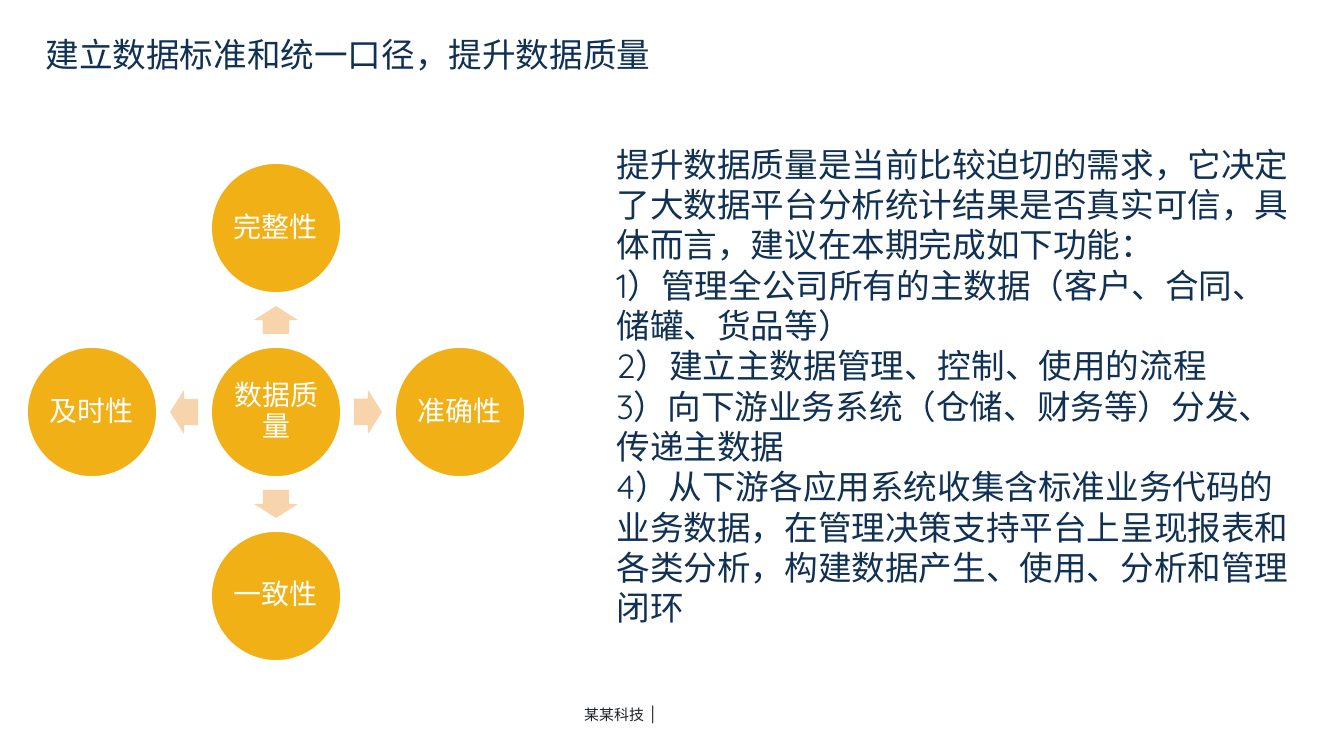
"""Build the data quality slide: a radial diagram beside a list of proposed functions."""
from dataclasses import dataclass

from lxml import etree
from pptx import Presentation
from pptx import util as u
from pptx.dml.color import RGBColor
from pptx.enum import shapes, text
from pptx.oxml import ns

PX = 914400 / 134.4


@dataclass(frozen=True)
class Theme:
    font: str = "Quicksand"
    navy: str = "103154"
    ink: str = "1E2327"
    amber: str = "F1B015"
    sand: str = "F7D4AC"
    white: str = "FFFFFF"
    main_size: int = 18
    node_size: int = 15
    footer_size: int = 8
    divider_size: int = 10


@dataclass(frozen=True)
class Box:
    left: int
    top: int
    width: int
    height: int


@dataclass(frozen=True)
class Quality:
    label: str
    dx: int
    dy: int
    turn: int


THEME = Theme()
CENTER_X, CENTER_Y = 276, 412
STEP = 184
CIRCLE = 132
ARROW_LENGTH, ARROW_WIDTH = 28, 44
NODE_INSET = 3

TITLE = "建立数据标准和统一口径，提升数据质量"
HUB = Quality("数据质量", 0, 0, 0)
QUALITIES = [
    Quality("完整性", 0, -1, 270),
    Quality("准确性", 1, 0, 0),
    Quality("一致性", 0, 1, 90),
    Quality("及时性", -1, 0, 180),
]
FUNCTIONS = [
    "提升数据质量是当前比较迫切的需求，它决定了大数据平台分析统计结果是否真实可信，"
    "具体而言，建议在本期完成如下功能：",
    "1）管理全公司所有的主数据（客户、合同、储罐、货品等）",
    "2）建立主数据管理、控制、使用的流程",
    "3）向下游业务系统（仓储、财务等）分发、传递主数据",
    "4）从下游各应用系统收集含标准业务代码的业务数据，在管理决策支持平台上"
    "呈现报表和各类分析，构建数据产生、使用、分析和管理闭环",
]


def px(length: float) -> u.Emu:
    """Turn a length in px into EMU."""
    return u.Emu(round(length * PX))


def place(shape, box: Box) -> None:
    """Move and size a shape."""
    shape.left, shape.top = px(box.left), px(box.top)
    shape.width, shape.height = px(box.width), px(box.height)


def add_run(paragraph, words: str, size: int, color: str) -> None:
    """Append one formatted run."""
    run = paragraph.add_run()
    run.text = words
    run.font.name = THEME.font
    run.font.size = u.Pt(size)
    run.font.color.rgb = RGBColor.from_string(color)


def fill_placeholder(holder, box: Box, lines: list[str]) -> None:
    """Write plain unbulleted lines from the top left of a placeholder."""
    place(holder, box)
    frame = holder.text_frame
    frame.word_wrap = True
    frame.auto_size = text.MSO_AUTO_SIZE.NONE
    frame.vertical_anchor = text.MSO_ANCHOR.TOP
    for index, line in enumerate(lines):
        paragraph = frame.add_paragraph() if index else frame.paragraphs[0]
        paragraph.alignment = text.PP_ALIGN.LEFT
        paragraph.space_before = u.Pt(0)
        properties = paragraph._p.get_or_add_pPr()
        properties.set("marL", "0")
        properties.set("indent", "0")
        etree.SubElement(properties, ns.qn("a:buNone"))
        add_run(paragraph, line, THEME.main_size, THEME.navy)


def add_centered(slide, kind, x: float, y: float, width: int, height: int, color: str):
    """Add a flat filled shape around a centre point."""
    shape = slide.shapes.add_shape(
        kind, px(x - width / 2), px(y - height / 2), px(width), px(height))
    shape.shadow.inherit = False
    shape.fill.solid()
    shape.fill.fore_color.rgb = RGBColor.from_string(color)
    shape.line.fill.background()
    return shape


def add_node(slide, quality: Quality) -> None:
    """Add a labelled circle one step from the hub in its direction."""
    circle = add_centered(
        slide, shapes.MSO_SHAPE.OVAL, CENTER_X + STEP * quality.dx,
        CENTER_Y + STEP * quality.dy, CIRCLE, CIRCLE, THEME.amber)
    circle.line.color.rgb = RGBColor.from_string(THEME.white)
    circle.line.width = u.Pt(2)
    frame = circle.text_frame
    frame.word_wrap = True
    frame.vertical_anchor = text.MSO_ANCHOR.MIDDLE
    frame.margin_left = frame.margin_right = px(NODE_INSET)
    frame.margin_top = frame.margin_bottom = px(NODE_INSET)
    label = frame.paragraphs[0]
    label.alignment = text.PP_ALIGN.CENTER
    label.line_spacing = 0.9
    add_run(label, quality.label, THEME.node_size, THEME.white)


def add_arrow(slide, quality: Quality) -> None:
    """Add the block arrow halfway between the hub and a quality."""
    arrow = add_centered(
        slide, shapes.MSO_SHAPE.RIGHT_ARROW, CENTER_X + STEP / 2 * quality.dx,
        CENTER_Y + STEP / 2 * quality.dy, ARROW_LENGTH, ARROW_WIDTH, THEME.sand)
    arrow.adjustments[0] = 0.6
    arrow.adjustments[1] = 0.5
    arrow.rotation = quality.turn


def add_footer(slide, box: Box) -> None:
    """Add the company line at the foot of the slide."""
    footer = slide.shapes.add_textbox(0, 0, 0, 0)
    place(footer, box)
    footer.text_frame.word_wrap = True
    company = footer.text_frame.paragraphs[0]
    company.line_spacing = 1.3
    add_run(company, "某某科技  ", THEME.footer_size, THEME.ink)
    add_run(company, "|", THEME.divider_size, THEME.ink)


def main() -> None:
    """Build and save the slide."""
    deck = Presentation()
    deck.slide_width, deck.slide_height = px(1344), px(756)
    slide = deck.slides.add_slide(deck.slide_layouts[1])
    add_footer(slide, Box(571, 689, 222, 43))
    add_node(slide, HUB)
    for quality in QUALITIES:
        add_arrow(slide, quality)
        add_node(slide, quality)
    fill_placeholder(slide.shapes.title, Box(32, 27, 703, 54), [TITLE])
    fill_placeholder(slide.placeholders[1], Box(603, 137, 703, 503), FUNCTIONS)
    deck.save("out.pptx")


if __name__ == "__main__":
    main()
